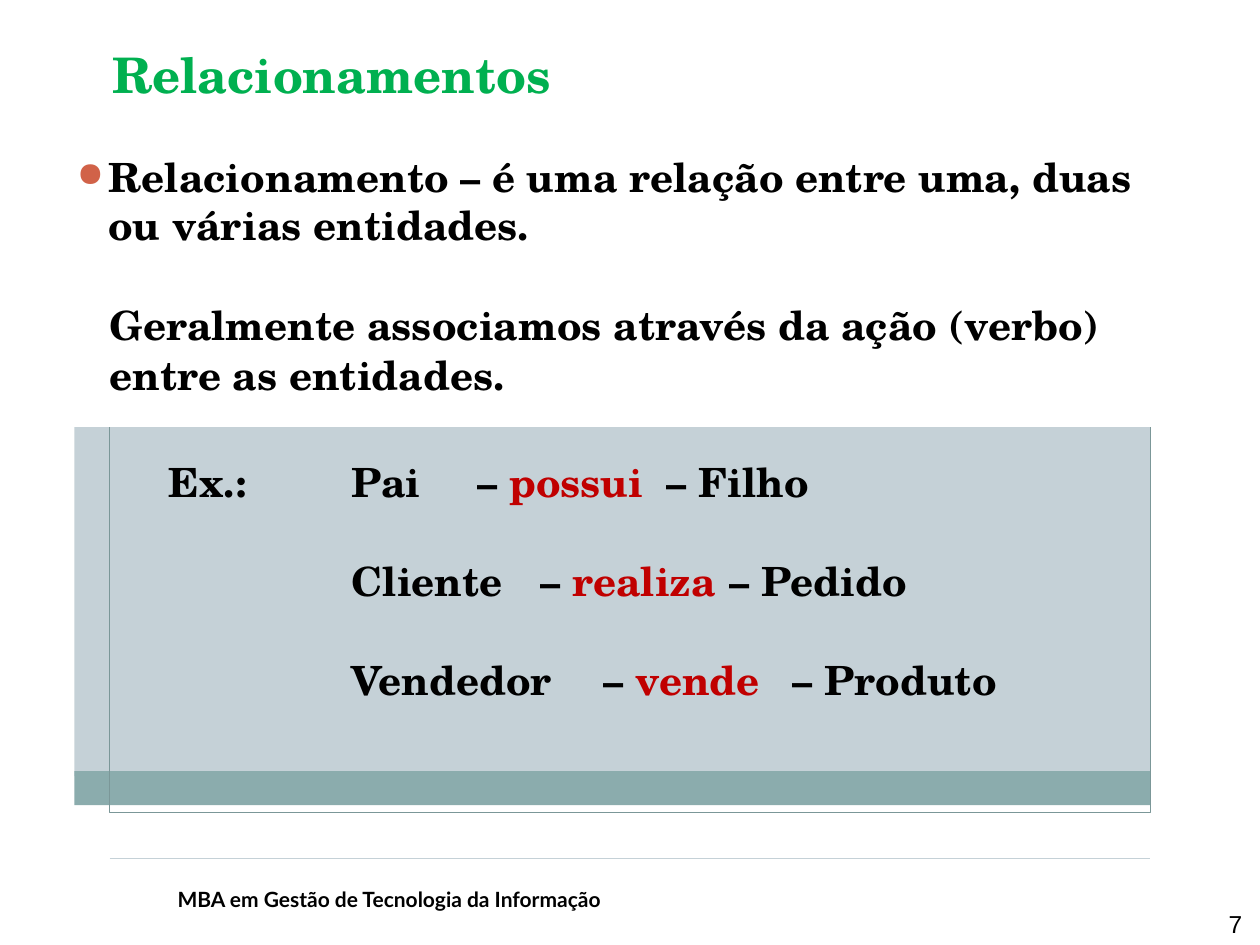
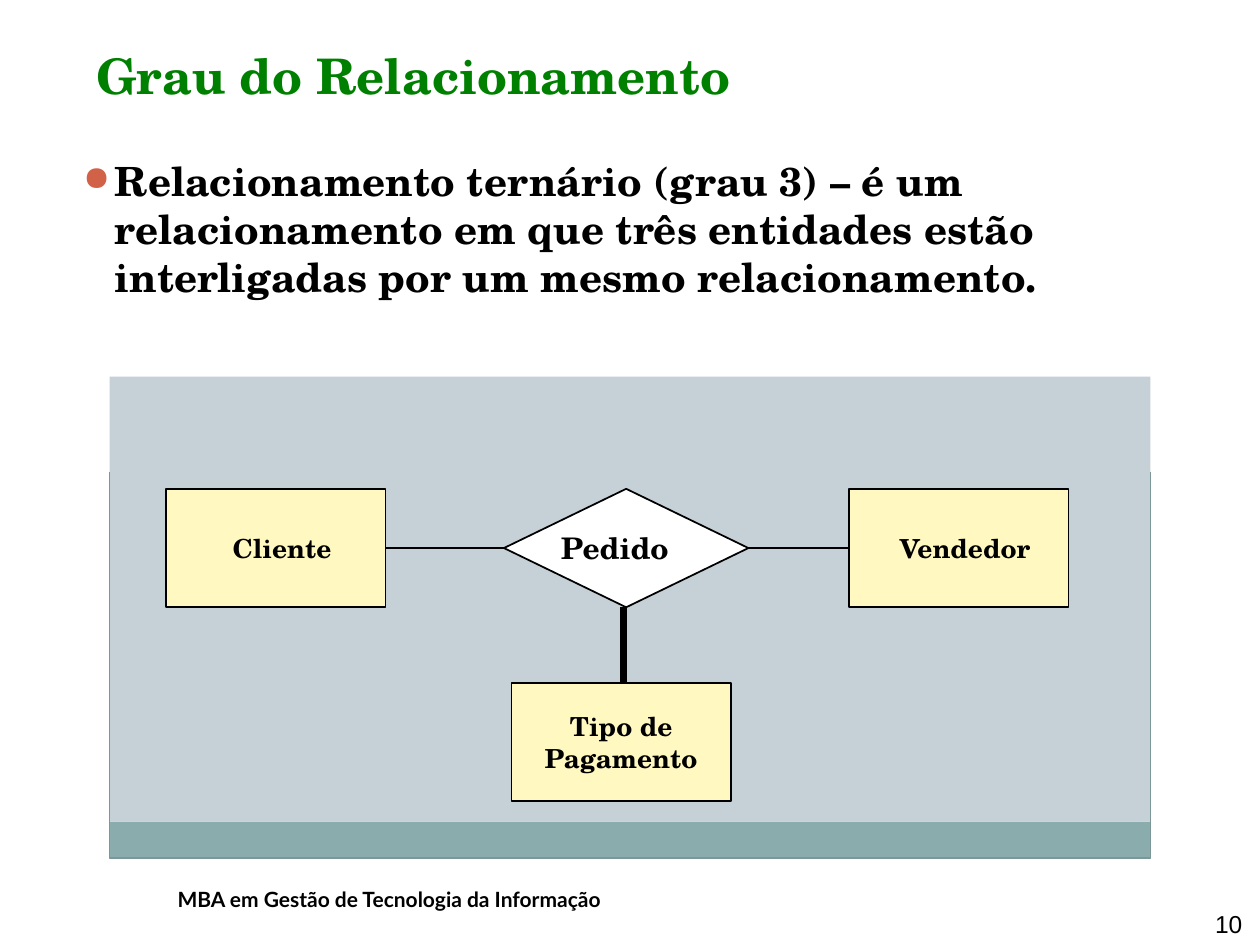
from dataclasses import dataclass
from typing import Any, NamedTuple

from lxml.etree import SubElement
from pptx import Presentation
from pptx.dml.color import RGBColor
from pptx.enum.shapes import MSO_CONNECTOR as Link, MSO_SHAPE as Preset
from pptx.enum.text import MSO_ANCHOR as Anchor, PP_ALIGN as Align
from pptx.oxml.ns import qn
from pptx.util import Emu, Inches, Pt

# A grid of 100 columns by 75 rows covers the slide; its cells are square.
WIDTH, HEIGHT = Inches(10), Inches(7.5)
COLUMNS = 100
CELL = WIDTH // COLUMNS

COLORS = {
    "ink": "000000",
    "white": "FFFFFF",
    "title": "00B050",
    "title_dark": "008000",
    "verb": "C00000",
    "bullet": "D16248",
    "panel": "C5D1D7",
    "band": "8BACAD",
    "frame": "7B9798",
    "entity": "FFF8C1",
}
SERIF = "TeX Gyre Schola"
FOOTER = "MBA em Gestão de Tecnologia da Informação"
FRAME_SIDES = (8.7, 91.3)
RULE_ROW = 68.1
LEFT, RIGHT = 1, 3  # connection sites of rectangles and diamonds


class Box(NamedTuple):
    """A place on the grid, in columns and rows."""
    left: float
    top: float
    width: float
    height: float


class Span(NamedTuple):
    text: str
    color: str = "ink"


class Style(NamedTuple):
    size: float
    font: str = SERIF
    bold: bool = True
    align: Any = Align.LEFT
    anchor: Any = Anchor.TOP
    wrap: bool = True


@dataclass
class Para:
    spans: list[Span]
    before: float = 0
    margin: float = 0
    bullet: bool = False
    tabs: tuple[float, ...] = ()


@dataclass
class Node:
    """An entity or relationship of the diagram; nudge shifts its label."""
    label: str
    box: Box
    preset: Any = Preset.RECTANGLE
    fill: str = "entity"
    size: float = 15
    nudge: float = 0


TITLE = Style(28, align=Align.CENTER)
BODY = Style(23)
FOOTER_STYLE = Style(12, font="Lato", anchor=Anchor.MIDDLE, wrap=False)
NUMBER_STYLE = Style(14, font="Arial", bold=False, align=Align.RIGHT,
                     anchor=Anchor.BOTTOM)


def cells(count: float) -> Emu:
    return Emu(round(count * CELL))


def place(box: Box) -> list[Emu]:
    return [cells(value) for value in box]


def rgb(name: str) -> RGBColor:
    return RGBColor.from_string(COLORS[name])


def apply(target: Any, values: dict[str, Any]) -> None:
    for name, value in values.items():
        setattr(target, name, value)


def add_marks(props: Any, para: Para) -> None:
    """Add the bullet and the tab stops to paragraph properties."""
    if para.bullet:
        color = SubElement(props, qn("a:buClr"))
        SubElement(color, qn("a:srgbClr"), val=COLORS["bullet"])
        SubElement(props, qn("a:buSzPct"), val="85000")
        SubElement(props, qn("a:buChar"), char="●")
    if para.tabs:
        stops = SubElement(props, qn("a:tabLst"))
        for stop in para.tabs:
            SubElement(stops, qn("a:tab"), pos=str(cells(stop)), algn="l")


def write(frame: Any, paras: list[Para], style: Style) -> None:
    apply(frame, {
        "word_wrap": style.wrap, "vertical_anchor": style.anchor,
        "margin_left": 0, "margin_right": 0,
        "margin_top": 0, "margin_bottom": 0,
    })
    for index, para in enumerate(paras):
        line = frame.add_paragraph() if index else frame.paragraphs[0]
        props = line._p.get_or_add_pPr()
        props.set("marL", str(cells(para.margin)))
        props.set("indent", str(cells(-2.5 if para.bullet else 0)))
        add_marks(props, para)
        line.alignment = style.align
        if para.before:
            line.space_before = Pt(para.before)
        for span in para.spans:
            run = line.add_run()
            run.text = span.text
            apply(run.font, {"name": style.font, "size": Pt(style.size),
                             "bold": style.bold})
            run.font.color.rgb = rgb(span.color)


def add_text(page: Any, box: Box, paras: list[Para], style: Style) -> None:
    write(page.shapes.add_textbox(*place(box)).text_frame, paras, style)


def add_block(page: Any, box: Box, fill: str, preset: Any = Preset.RECTANGLE) -> Any:
    block = page.shapes.add_shape(preset, *place(box))
    block.shadow.inherit = False
    block.fill.solid()
    block.fill.fore_color.rgb = rgb(fill)
    block.line.fill.background()
    return block


def set_line(shape: Any, color: str, width: float) -> None:
    shape.line.color.rgb = rgb(color)
    shape.line.width = Pt(width)


def add_line(page: Any, start: tuple[float, float], end: tuple[float, float],
             color: str = "ink", width: float = 1.2) -> Any:
    line = page.shapes.add_connector(
        Link.STRAIGHT, *(cells(value) for value in start + end))
    set_line(line, color, width)
    SubElement(line._element.spPr, qn("a:effectLst"))
    return line


def join(page: Any, first: Any, second: Any) -> None:
    """Link the right side of one node to the left side of the next."""
    line = add_line(page, (0, 0), (1, 1))
    line.begin_connect(first, RIGHT)
    line.end_connect(second, LEFT)


def add_panel(page: Any, panel: Box, band: Box, top: float, bottom: float) -> None:
    """Draw a panel with its foot band, the rule and a frame open at the top."""
    add_block(page, panel, "panel")
    left, right = FRAME_SIDES
    add_line(page, (left, RULE_ROW), (right, RULE_ROW), "panel", 0.6)
    add_block(page, band, "band")
    corners = [(cells(x), cells(y)) for x, y in
               ((left, top), (left, bottom), (right, bottom), (right, top))]
    builder = page.shapes.build_freeform(*corners[0])
    builder.add_line_segments(corners[1:], close=False)
    frame = builder.convert_to_shape()
    frame.shadow.inherit = False
    frame.fill.background()
    set_line(frame, "frame", 0.9)


def add_node(page: Any, node: Node) -> Any:
    shape = add_block(page, node.box, node.fill, node.preset)
    set_line(shape, "ink", 1)
    style = Style(node.size, align=Align.CENTER, anchor=Anchor.MIDDLE,
                  wrap=node.preset == Preset.RECTANGLE)
    write(shape.text_frame, [Para([Span(node.label)])], style)
    side = "margin_left" if node.nudge > 0 else "margin_right"
    setattr(shape.text_frame, side, cells(2 * abs(node.nudge)))
    return shape


def add_page(deck: Any, title: Span, title_box: Box, number: int) -> Any:
    page = deck.slides.add_slide(deck.slide_layouts[6])
    add_text(page, Box(14.1, 69.9, 37.7, 3), [Para([Span(FOOTER)])], FOOTER_STYLE)
    add_text(page, title_box, [Para([title])], TITLE)
    add_text(page, Box(94.5, 71.9, 4.1, 2.6), [Para([Span(str(number))])],
             NUMBER_STYLE)
    return page


def build_relationships(deck: Any) -> None:
    page = add_page(deck, Span("Relacionamentos", "title"),
                    Box(8.6, 3.5, 35.4, 4.7), 7)
    add_text(page, Box(5.9, 12.1, 85.4, 19.4), [
        Para([Span("Relacionamento – é uma relação entre uma, duas "
                   "ou várias entidades.")], margin=2.7, bullet=True),
        Para([Span("Geralmente associamos através da ação (verbo)")],
             before=29.4, margin=2.8),
        Para([Span("entre as entidades.")], before=0.9, margin=2.8),
    ], BODY)
    add_panel(page, Box(5.9, 33.9, 85.4, 27.7), Box(5.9, 61.2, 85.4, 2.7),
              33.9, 64.5)
    examples = [("Pai", "possui", "Filho"), ("Cliente", "realiza", "Pedido"),
                ("Vendedor", "vende", "Produto")]
    add_text(page, Box(13.4, 36.3, 8, 3.8), [Para([Span("Ex.:")])], BODY)
    add_text(page, Box(27.9, 36.3, 59.1, 19.4), [
        Para([Span(f"{subject}\t– "), Span(verb, "verb"), Span(f"\t– {thing}")],
             before=29 if index else 0, tabs=(20, 40))
        for index, (subject, verb, thing) in enumerate(examples)
    ], BODY)


def build_degree(deck: Any) -> None:
    page = add_page(deck, Span("Grau do Relacionamento", "title_dark"),
                    Box(7.5, 3.6, 50.6, 4.7), 10)
    add_text(page, Box(6.4, 12.4, 88.5, 11.4), [
        Para([Span("Relacionamento ternário (grau 3) – é um relacionamento em que "
                   "três entidades estão interligadas por um mesmo "
                   "relacionamento.")], margin=2.7, bullet=True),
    ], BODY)
    add_panel(page, Box(8.7, 29.9, 82.6, 35.3), Box(8.7, 65.2, 82.6, 2.9),
              37.5, 68.1)
    client, order, seller, _ = [add_node(page, node) for node in (
        Node("Cliente", Box(13.2, 38.8, 17.4, 9.4), nudge=0.5),
        Node("Pedido", Box(40, 38.8, 19.4, 9.4), Preset.DIAMOND, "white", 17, -0.9),
        Node("Vendedor", Box(67.4, 38.8, 17.4, 9.4), nudge=0.5),
        Node("Tipo de Pagamento", Box(40.6, 54.2, 17.4, 9.4)),
    )]
    join(page, client, order)
    join(page, order, seller)
    add_line(page, (49.5, 48.2), (49.5, 54.2), width=3.8)


def main() -> None:
    deck = Presentation()
    deck.slide_width, deck.slide_height = WIDTH, HEIGHT
    build_relationships(deck)
    build_degree(deck)
    deck.save("out.pptx")


if __name__ == "__main__":
    main()
